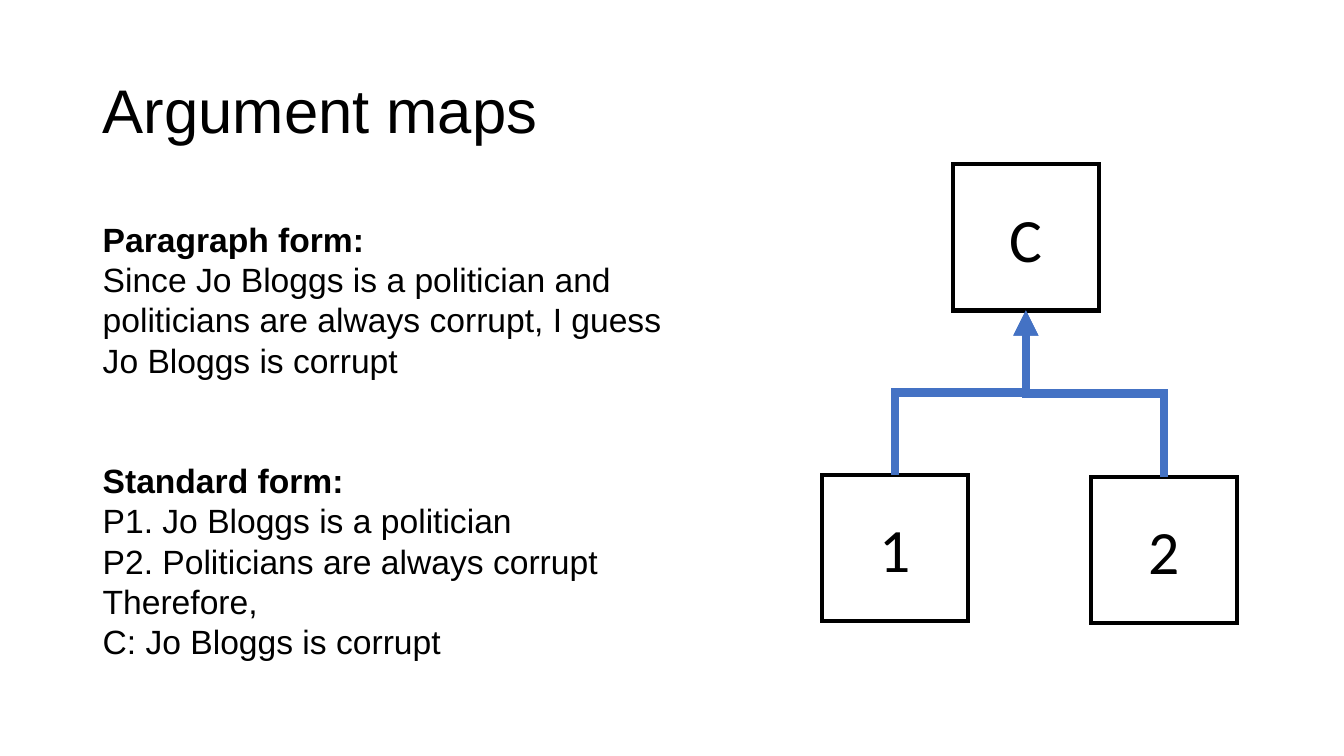
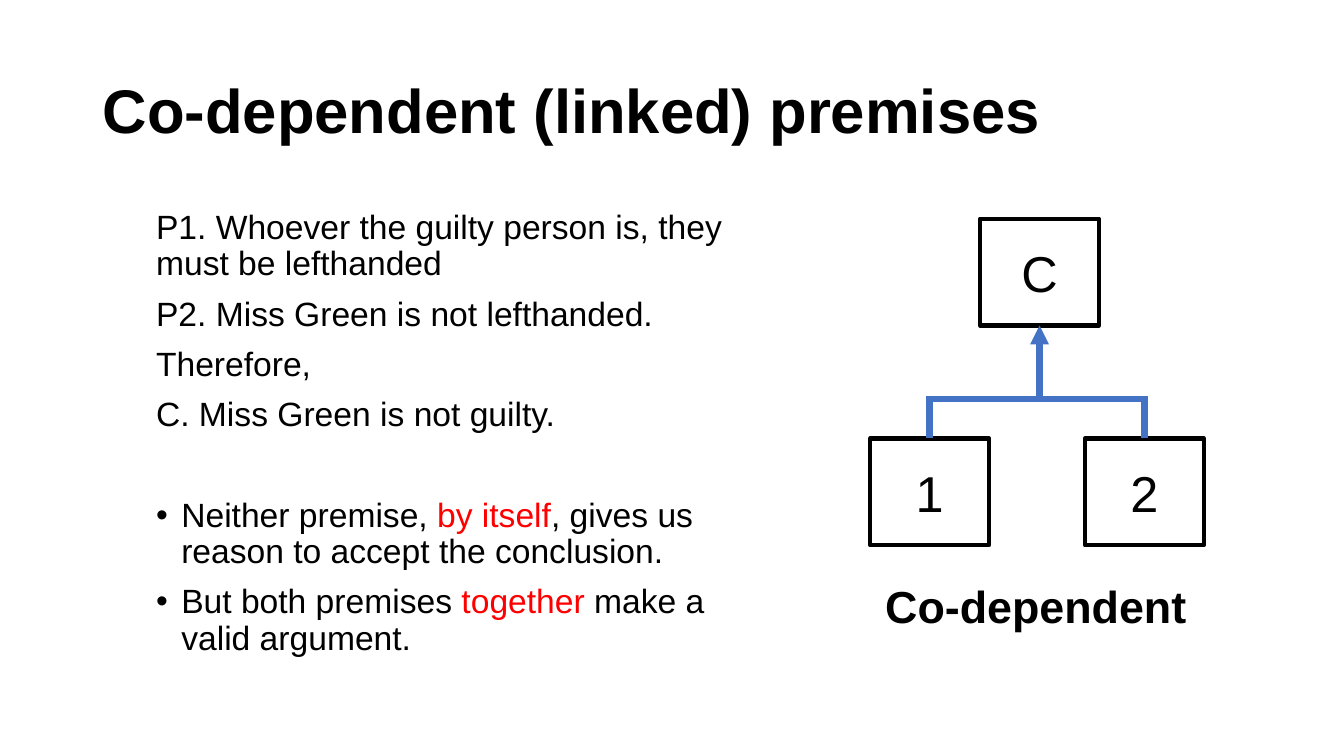
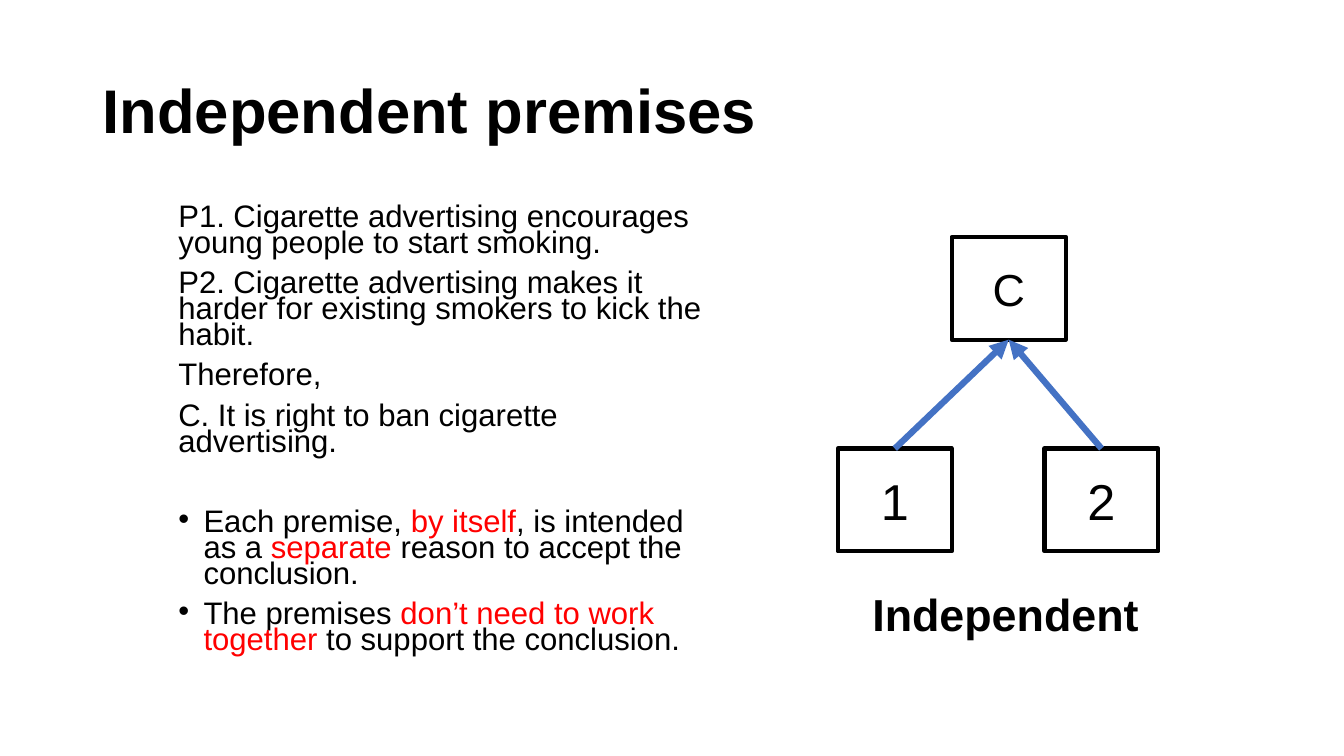
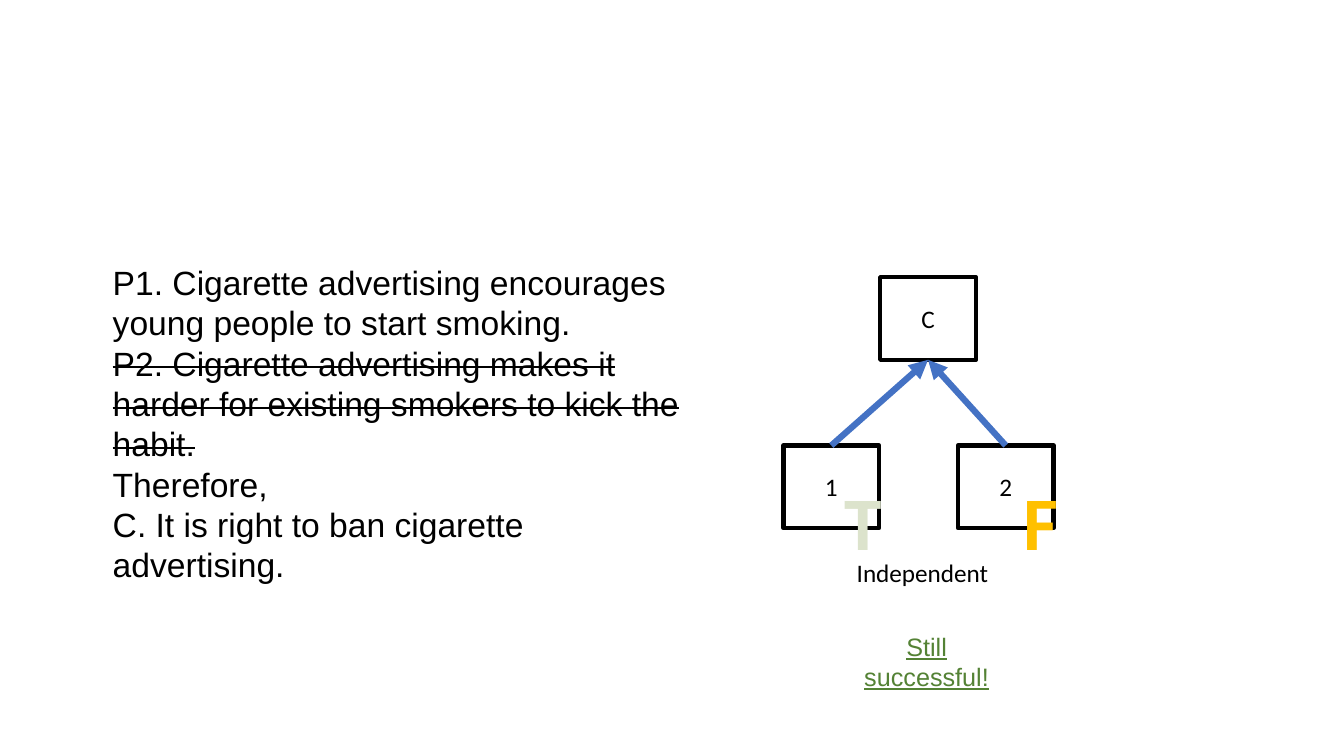
from lxml.etree import SubElement
from pptx import Presentation
from pptx.dml.color import RGBColor
from pptx.enum.shapes import MSO_CONNECTOR, MSO_SHAPE
from pptx.enum.text import MSO_ANCHOR, PP_ALIGN
from pptx.oxml.ns import qn
from pptx.util import Inches, Pt

BLACK = RGBColor(0x00, 0x00, 0x00)
RED = RGBColor(0xFF, 0x00, 0x00)
BLUE = RGBColor(0x44, 0x72, 0xC4)
GREEN = RGBColor(0x54, 0x82, 0x35)
SAGE = RGBColor(0xDC, 0xE3, 0xCC)
OLIVE = RGBColor(0xA8, 0xB9, 0x7F)
AMBER = RGBColor(0xFF, 0xC0, 0x00)

TITLE_BOX = (0.92, 0.4, 11.5, 1.45)

# Content: words between asterisks are red; boxes are left, top, width, height
SLIDES = [
    dict(
        title="Argument maps", title_bold=False,
        body=dict(box=(0.92, 2.12, 5.75, 4.95), size=24, paragraphs=[
            dict(text="Paragraph form:", bold=True),
            dict(text="Since Jo Bloggs is a politician and politicians are always "
                      "corrupt, I guess Jo Bloggs is corrupt"),
            dict(text="Standard form:", bold=True, before=57),
            dict(text="P1. Jo Bloggs is a politician"),
            dict(text="P2. Politicians are always corrupt"),
            dict(text="Therefore,"),
            dict(text="C: Jo Bloggs is corrupt"),
        ]),
        argument=dict(links="elbows", arrow=6, font="Calibri", box=(1.45, 1.45), sharp=True,
                      conclusion=(9.45, 1.63, 44),
                      premises=[(8.15, 4.71, 44), (10.82, 4.73, 44)]),
    ),
    dict(
        title="Co-dependent (linked) premises", title_bold=True,
        body=dict(box=(1.45, 2.04, 6.07, 4.76), size=24, spacing=0.9, before=10, paragraphs=[
            dict(text="P1. Whoever the guilty person is, they must be lefthanded"),
            dict(text="P2. Miss Green is not lefthanded."),
            dict(text="Therefore,"),
            dict(text="C. Miss Green is not guilty."),
            dict(text="Neither premise, *by itself*, gives us reason to accept the conclusion.",
                 bullet=True, before=46),
            dict(text="But both premises *together* make a valid argument.", bullet=True),
        ]),
        argument=dict(links="bracket", arrow=4.5, font="Arial", box=(1.18, 1.06),
                      conclusion=(9.72, 2.17, 36),
                      premises=[(8.63, 4.35, 36), (10.76, 4.35, 36)]),
        labels=[dict(text="Co-dependent", box=(8.52, 5.69, 3.51, 0.64), size=32, bold=True)],
    ),
    dict(
        title="Independent premises", title_bold=True,
        body=dict(box=(1.67, 2, 5.62, 4.76), size=22.2, spacing=0.7, before=10, paragraphs=[
            dict(text="P1. Cigarette advertising encourages young people to start smoking."),
            dict(text="P2. Cigarette advertising makes it harder for existing smokers "
                      "to kick the habit."),
            dict(text="Therefore,"),
            dict(text="C. It is right to ban cigarette advertising."),
            dict(text="Each premise, *by itself*, is intended as a *separate* reason to "
                      "accept the conclusion.", bullet=True, before=38.5),
            dict(text="The premises *don’t need to work together* to support the conclusion.",
                 bullet=True),
        ]),
        argument=dict(links="arrows", arrow=4.5, font="Arial", box=(1.13, 1.02),
                      conclusion=(9.44, 2.35, 32),
                      premises=[(8.31, 4.45, 36), (10.36, 4.45, 36)]),
        labels=[dict(text="Independent", box=(8.22, 5.77, 3.51, 0.64), size=32, bold=True)],
    ),
    dict(
        body=dict(box=(1.02, 2.55, 5.83, 3.33), size=24, paragraphs=[
            dict(text="P1. Cigarette advertising encourages young people to start smoking."),
            dict(text="P2. Cigarette advertising makes it harder for existing smokers "
                      "to kick the habit.", strike=True),
            dict(text="Therefore,"),
            dict(text="C. It is right to ban cigarette advertising."),
        ]),
        argument=dict(links="arrows", arrow=4.5, font="Calibri", box=(0.95, 0.82),
                      conclusion=(8.73, 2.75, 18),
                      premises=[(7.77, 4.42, 18), (9.5, 4.42, 18)]),
        labels=[
            dict(text="Independent", box=(7.73, 5.48, 2.84, 0.4), size=18, font="Calibri"),
            dict(text="T", box=(8.28, 4.66, 0.56, 1.01), size=54, font="Calibri", bold=True,
                 color=SAGE, outline=OLIVE, wrap=False),
            dict(text="F", box=(10.04, 4.66, 0.56, 1.01), size=54, font="Calibri", bold=True,
                 color=AMBER, outline=RED, wrap=False),
            dict(text="Still successful!", box=(8.4, 6.21, 1.58, 0.71), size=18,
                 color=GREEN, underline=True),
        ],
    ),
]


# Text
def set_font(paragraph, size, font="Arial", color=BLACK, bold=False, underline=None):
    paragraph.font.size = Pt(size)
    paragraph.font.name = font
    paragraph.font.color.rgb = color
    paragraph.font.bold = bold
    paragraph.font.underline = underline


def add_text_frame(slide, box, wrap=True):
    frame = slide.shapes.add_textbox(*map(Inches, box)).text_frame
    frame.word_wrap = wrap
    return frame


def add_title(slide, text, bold):
    frame = add_text_frame(slide, TITLE_BOX)
    frame.vertical_anchor = MSO_ANCHOR.MIDDLE
    paragraph = frame.paragraphs[0]
    paragraph.text = text
    paragraph.line_spacing = 0.9
    set_font(paragraph, 44, bold=bold)


def add_bullet(paragraph):
    properties = paragraph._p.get_or_add_pPr()
    properties.set("marL", str(Inches(0.25)))
    properties.set("indent", str(Inches(-0.25)))
    SubElement(properties, qn("a:buFont"), typeface="Arial")
    SubElement(properties, qn("a:buChar"), char="•")


def add_body(slide, box, size, paragraphs, spacing=1.0, before=0):
    frame = add_text_frame(slide, box)
    for i, item in enumerate(paragraphs):
        paragraph = frame.add_paragraph() if i else frame.paragraphs[0]
        if item.get("bullet"):
            add_bullet(paragraph)
        paragraph.line_spacing = spacing
        paragraph.space_before = Pt(item.get("before", before))
        set_font(paragraph, size, bold=item.get("bold", False))
        for j, part in enumerate(item["text"].split("*")):
            run = paragraph.add_run()
            run.text = part
            # The bullet takes its size from the runs
            run.font.size = Pt(size)
            if j % 2:
                run.font.color.rgb = RED
            if item.get("strike"):
                run._r.get_or_add_rPr().set("strike", "sngStrike")


def add_label(slide, text, box, size, wrap=True, outline=None, **style):
    paragraph = add_text_frame(slide, box, wrap).paragraphs[0]
    paragraph.alignment = PP_ALIGN.CENTER
    run = paragraph.add_run()
    run.text = text
    set_font(paragraph, size, **style)
    if outline is not None:
        edge = SubElement(run._r.get_or_add_rPr(), qn("a:ln"), w=str(Pt(1.75)))
        fill = SubElement(edge, qn("a:solidFill"))
        SubElement(fill, qn("a:srgbClr"), val=str(outline))


# Argument map
def sharpen(line):
    SubElement(line._get_or_add_ln(), qn("a:miter"), lim="800000")


def add_claim(slide, text, place, box, font, sharp):
    left, top, size = place
    claim = slide.shapes.add_shape(MSO_SHAPE.RECTANGLE, *map(Inches, (left, top, *box)))
    claim.shadow.inherit = False
    claim.fill.background()
    claim.line.color.rgb = BLACK
    claim.line.width = Pt(3)
    if sharp:
        sharpen(claim.line)
    claim.text_frame.vertical_anchor = MSO_ANCHOR.MIDDLE
    paragraph = claim.text_frame.paragraphs[0]
    paragraph.text = text
    paragraph.alignment = PP_ALIGN.CENTER
    set_font(paragraph, size, font)
    return claim


def add_link(slide, kind, ends, width, head=True):
    link = slide.shapes.add_connector(kind, *ends)
    link.line.color.rgb = BLUE
    link.line.width = Pt(width)
    sharpen(link.line)
    if head:
        SubElement(link.line._get_or_add_ln(), qn("a:tailEnd"), type="triangle")
    SubElement(link._element.spPr, qn("a:effectLst"))
    return link


def top_middle(claim):
    return claim.left + claim.width // 2, claim.top


def bottom_middle(claim):
    return claim.left + claim.width // 2, claim.top + claim.height


def add_arrows(slide, premises, conclusion, width):
    for premise in premises:
        arrow = add_link(slide, MSO_CONNECTOR.STRAIGHT, (0, 0, 0, 0), width)
        arrow.begin_connect(premise, 0)
        arrow.end_connect(conclusion, 2)


def add_elbows(slide, premises, conclusion, width):
    """From each premise up, across, and up to the conclusion: a turned elbow."""
    x2, y2 = bottom_middle(conclusion)
    for premise in premises:
        x1, y1 = top_middle(premise)
        rise, run = y1 - y2, abs(x2 - x1)
        left, top = (x1 + x2 - rise) // 2, (y1 + y2 - run) // 2
        elbow = add_link(slide, MSO_CONNECTOR.ELBOW, (left, top, left + rise, top + run), width)
        frame = elbow._element.spPr.find(qn("a:xfrm"))
        rightward = x2 > x1
        frame.set("rot", str((90 if rightward else 270) * 60000))
        frame.set("flipH", str(int(rightward)))
        frame.set("flipV", "1")


def add_bracket(slide, premises, conclusion, width):
    """A bar joins the premises by stubs; one arrow bends up from it."""
    bar = premises[0].top - Inches(0.39)
    (left, _), (right, _) = map(top_middle, premises)
    middle, tip = bottom_middle(conclusion)
    arrow = add_link(slide, MSO_CONNECTOR.ELBOW, (left, bar, middle, tip), width)
    adjustments = arrow._element.spPr.find(qn("a:prstGeom")).get_or_add_avLst()
    SubElement(adjustments, qn("a:gd"), name="adj1", fmla="val 100000")
    add_link(slide, MSO_CONNECTOR.STRAIGHT, (middle, bar, right, bar), width, head=False)
    for premise in premises:
        x, y = top_middle(premise)
        stub = add_link(slide, MSO_CONNECTOR.STRAIGHT,
                        (x, bar - Pt(width) // 2, x, y), width, head=False)
        stub.end_connect(premise, 0)


LINKS = dict(arrows=add_arrows, elbows=add_elbows, bracket=add_bracket)


def add_argument(slide, conclusion, premises, box, font, arrow, links, sharp=False):
    supported = add_claim(slide, "C", conclusion, box, font, sharp)
    supporting = [add_claim(slide, str(number), place, box, font, sharp)
                  for number, place in enumerate(premises, 1)]
    LINKS[links](slide, supporting, supported, arrow)


def main():
    deck = Presentation()
    deck.slide_width, deck.slide_height = Inches(13.33), Inches(7.5)
    for content in SLIDES:
        slide = deck.slides.add_slide(deck.slide_layouts[6])
        if "title" in content:
            add_title(slide, content["title"], content["title_bold"])
        add_body(slide, **content["body"])
        add_argument(slide, **content["argument"])
        for label in content.get("labels", []):
            add_label(slide, **label)
    deck.save("out.pptx")


if __name__ == "__main__":
    main()
